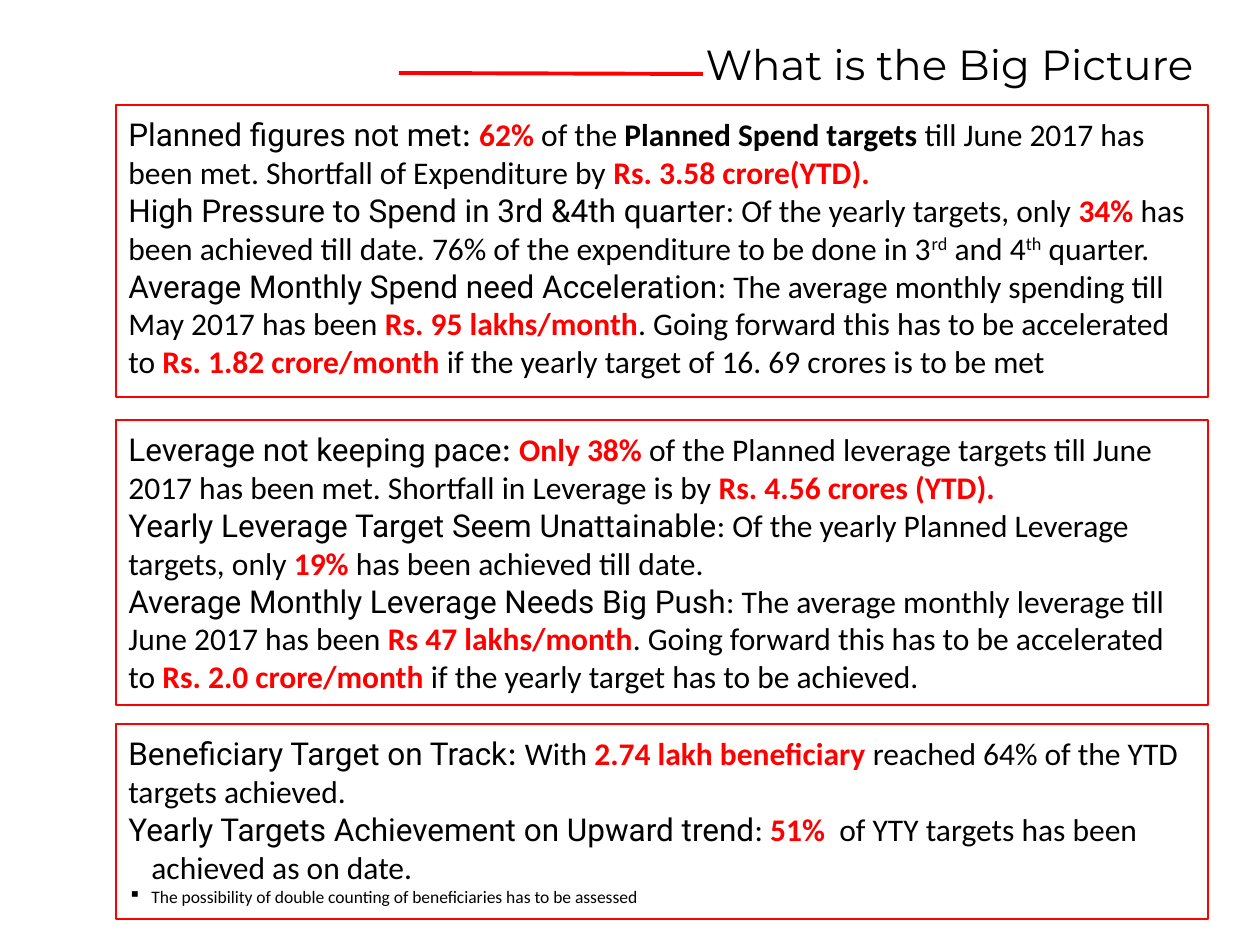
from lxml.etree import SubElement
from pptx import Presentation
from pptx.dml.color import RGBColor
from pptx.enum.shapes import MSO_CONNECTOR as Connector, MSO_SHAPE as Shape
from pptx.enum.text import MSO_ANCHOR as Anchor, PP_ALIGN as Align
from pptx.oxml.ns import qn
from pptx.util import Pt

EMU_PER_PX = 914400 / 126
COLORS = {"text": "000000", "accent": "FF0000"}
STYLES = {
    "title": {"name": "Montserrat", "size": Pt(24), "bold": False},
    "head": {"name": "Roboto", "size": Pt(18), "bold": False},
    "body": {"name": "Calibri", "size": Pt(18), "bold": False},
    "colon": {"name": "Calibri", "size": Pt(20), "bold": False},
    "strong": {"name": "Calibri", "size": Pt(18), "bold": True},
    "figure": {"name": "Calibri", "size": Pt(18), "bold": True},
    "super": {"name": "Calibri", "size": Pt(18), "bold": False},
    "note": {"name": "Calibri", "size": Pt(10), "bold": False},
}
FRAME = {"word_wrap": True, "vertical_anchor": Anchor.TOP}
BOX_LEFT, BOX_WIDTH, HANGING = 116, 1092, 23

SPENDING = [
    [("head", "Planned figures not met"), ("colon", ": "), ("figure", "62%"),
     ("body", " of the "), ("strong", "Planned Spend targets "),
     ("body", "till June 2017 has been met. Shortfall of Expenditure by "),
     ("figure", "Rs. 3.58 crore(YTD).")],
    [("head", "High Pressure to Spend in 3rd &4th quarter"),
     ("body", ": Of the yearly targets, only "), ("figure", "34%"),
     ("body", " has been achieved till date. 76% of the expenditure to be done in 3"),
     ("super", "rd"), ("body", " and 4"), ("super", "th"), ("body", " quarter.")],
    [("head", "Average Monthly Spend need Acceleration"),
     ("body", ": The average monthly spending till May 2017 has been "),
     ("figure", "Rs. 95 lakhs/month"),
     ("body", ". Going forward this has to be accelerated to "),
     ("figure", "Rs. 1.82 crore/month"),
     ("body", " if the yearly target of 16. 69 crores is to be met")],
]
LEVERAGE = [
    [("head", "Leverage not keeping pace"), ("colon", ": "), ("figure", "Only 38%"),
     ("body", " of the Planned leverage targets till June 2017 has been met. "
              "Shortfall in Leverage is by "),
     ("figure", "Rs. 4.56 crores (YTD).")],
    [("head", "Yearly Leverage Target Seem Unattainable"),
     ("body", ": Of the yearly Planned Leverage targets, only "),
     ("figure", "19%"), ("body", " has been achieved till date.")],
    [("head", "Average Monthly Leverage Needs Big Push"),
     ("body", ": The average monthly leverage till June 2017 has been "),
     ("figure", "Rs 47 lakhs/month"),
     ("body", ". Going forward this has to be accelerated to "),
     ("figure", "Rs. 2.0 crore/month "),
     ("body", "if the yearly target has to be achieved.")],
]
BENEFICIARIES = [
    [("head", "Beneficiary Target on Track"), ("colon", ": "), ("body", "With "),
     ("figure", "2.74 lakh beneficiary "),
     ("body", "reached 64% of the YTD targets achieved.")],
    [("head", "Yearly Targets Achievement on Upward trend"), ("body", ": "),
     ("figure", "51%  "), ("body", "of YTY targets has been achieved as on date.")],
    [("note", "The possibility of double counting of beneficiaries has to be assessed")],
]


def px(value):
    return round(value * EMU_PER_PX)


def color(name):
    return RGBColor.from_string(COLORS[name])


def set_values(target, values):
    for name, value in values.items():
        setattr(target, name, value)


def add_span(para, style, text):
    span = para.add_run()
    span.text = text
    set_values(span.font, STYLES[style])
    span.font.color.rgb = color("accent" if style == "figure" else "text")
    if style == "super":
        span.font._element.set("baseline", "30000")


def hang(para, bullet=None):
    properties = para._p.get_or_add_pPr()
    properties.set("marL", str(px(HANGING)))
    properties.set("indent", str(-px(HANGING)))
    if bullet:
        SubElement(properties, qn("a:buChar")).set("char", bullet)


def add_title(page, text):
    title = page.shapes.title
    set_values(title, {"left": px(693), "top": px(32), "width": px(567), "height": px(63)})
    set_values(title.text_frame, FRAME)
    para = title.text_frame.paragraphs[0]
    para.alignment = Align.LEFT
    add_span(para, "title", text)


def add_rule(page, start, end):
    rule = page.shapes.add_connector(Connector.STRAIGHT, *map(px, start + end))
    rule.line.color.rgb = color("accent")
    rule.line.width = Pt(2.25)
    SubElement(rule._element.spPr, qn("a:effectLst"))


def add_box(page, top, height, paragraphs):
    box = page.shapes.add_shape(
        Shape.RECTANGLE, px(BOX_LEFT), px(top), px(BOX_WIDTH), px(height))
    box.shadow.inherit = False
    box.fill.background()
    box.line.color.rgb = color("accent")
    box.line.width = Pt(0.75)
    frame = box.text_frame
    set_values(frame, FRAME)
    for index, spans in enumerate(paragraphs):
        para = frame.add_paragraph() if index else frame.paragraphs[0]
        para.alignment = Align.LEFT
        for style, text in spans:
            add_span(para, style, text)
    return box


def main():
    deck = Presentation()
    deck.slide_width, deck.slide_height = px(1260), px(945)
    page = deck.slides.add_slide(deck.slide_layouts[5])
    add_title(page, "What is the Big Picture")
    add_rule(page, (399, 73), (703, 74))
    add_box(page, 105, 292, SPENDING)
    add_box(page, 420, 285, LEVERAGE)
    reach = add_box(page, 724, 195, BENEFICIARIES)
    trend, note = reach.text_frame.paragraphs[1:]
    hang(trend)
    hang(note, "▪")
    deck.save("out.pptx")


if __name__ == "__main__":
    main()
